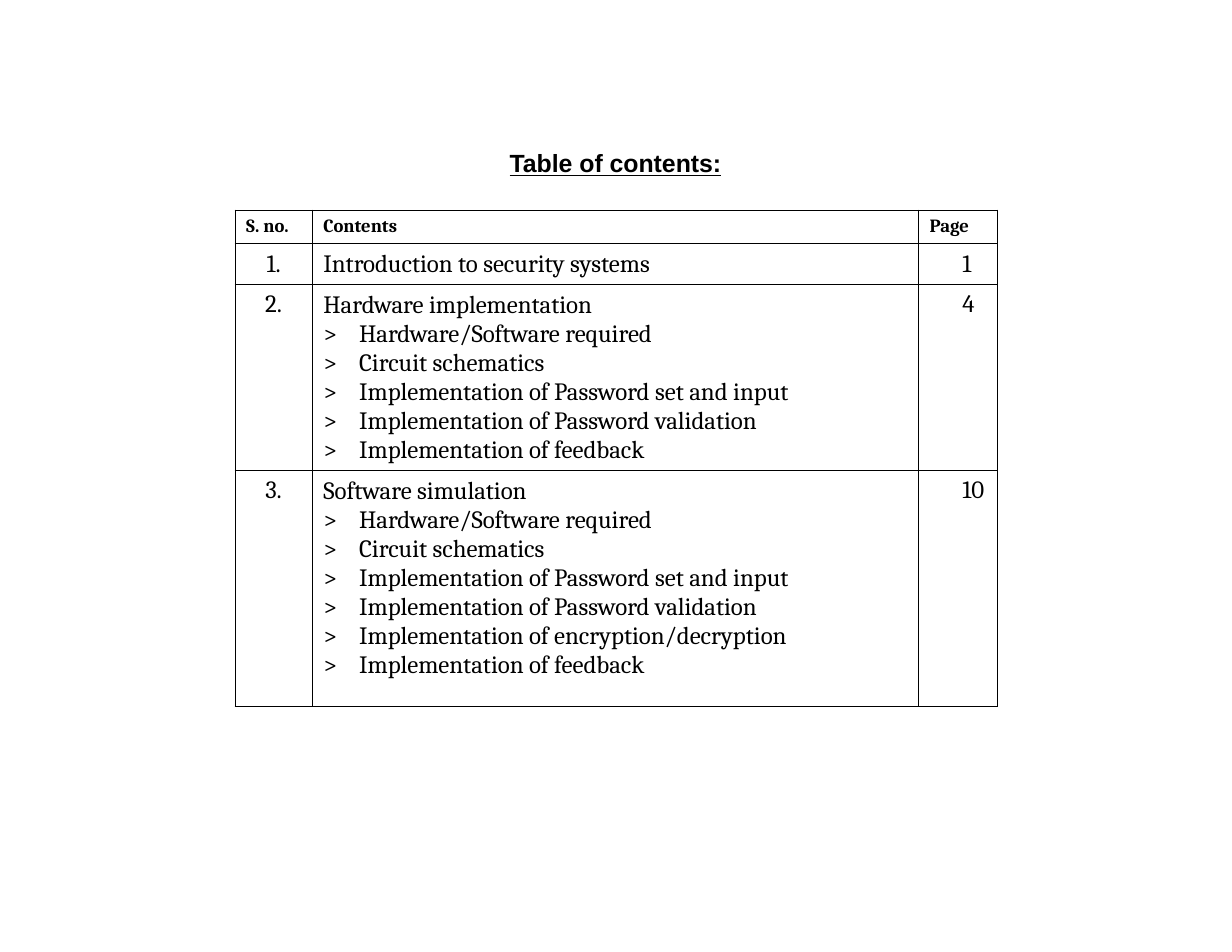
"""Build a slide with a ruled table of contents."""
from lxml.etree import SubElement as Sub
from pptx import Presentation as Deck
from pptx.dml.color import RGBColor
from pptx.enum.text import MSO_ANCHOR as Anchor, PP_ALIGN as Align
from pptx.oxml import parse_xml
from pptx.oxml.ns import nsdecls, qn
from pptx.util import Cm, Pt

BLACK = RGBColor(0, 0, 0)
HEAD = {"name": "Cambria", "size": Pt(12), "bold": True}
BODY = {"name": "Cambria", "size": Pt(16), "bold": False}
TITLE = {"name": "Arial", "size": Pt(16), "bold": True, "underline": True}


def write(para, text, style):
    run = para.add_run()
    run.text = text
    for key, val in style.items():
        setattr(run.font, key, val)
    run.font.color.rgb = BLACK


def rule(cell):
    props = cell._tc.get_or_add_tcPr()
    for side in "LRTB":
        props.append(parse_xml(
            f'<a:ln{side} {nsdecls("a")} w="{Pt(0.45)}"><a:solidFill>'
            f'<a:srgbClr val="{BLACK}"/></a:solidFill></a:ln{side}>'))
    cell.fill.background()


deck = Deck()
deck.slide_width, deck.slide_height = Cm(27.94), Cm(21.59)
slide = deck.slides.add_slide(deck.slide_layouts[6])

frame = slide.shapes.add_textbox(Cm(11.51), Cm(3.35), Cm(4.9), Cm(0.53)).text_frame
for key in ("left", "right", "top", "bottom"):
    setattr(frame, f"margin_{key}", 0)
frame.word_wrap = False
frame.paragraphs[0].alignment = Align.CENTER
write(frame.paragraphs[0], "Table of contents:", TITLE)

parts = ["Hardware/Software required", "Circuit schematics",
         "Implementation of Password set and input",
         "Implementation of Password validation"]
crypt, back = "Implementation of encryption/decryption", "Implementation of feedback"
rows = [
    ("S. no.", ["Contents"], "Page"),
    ("1.", ["Introduction to security systems"], "1"),
    ("2.", ["Hardware implementation", *parts, back], "4"),
    ("3.", ["Software simulation", *parts, crypt, back], "10"),
]
wide = [1.75, 13.75, 1.78]
high = [0.75, 0.9, 4.22, 5.35]
low, mid, top = Anchor.BOTTOM, Anchor.MIDDLE, Anchor.TOP
holds = [(top, top, top), (low, mid, low), (top, low, top), (top, top, top)]

table = slide.shapes.add_table(4, 3, Cm(5.33), Cm(4.76), Cm(sum(wide)), Cm(sum(high))).table
table.first_row = table.horz_banding = False
for col, size in zip(table.columns, wide):
    col.width = Cm(size)
for row, size in zip(table.rows, high):
    row.height = Cm(size)

for r, (num, lines, page) in enumerate(rows):
    style = BODY if r else HEAD
    for c, texts in enumerate(([num], lines, [page])):
        cell = table.cell(r, c)
        rule(cell)
        cell.vertical_anchor = holds[r][c]
        for i, text in enumerate(texts):
            para = cell.text_frame.paragraphs[0] if i == 0 else cell.text_frame.add_paragraph()
            props = para._p.get_or_add_pPr()
            if len(texts) > 1:
                para.line_spacing = Pt(18.7)
            if i:
                para.alignment = Align.JUSTIFY
                props.set("marL", str(Cm(0.81)))
                props.set("indent", str(-Cm(0.81)))
                Sub(props, qn("a:buFont"), typeface="Cambria")
                Sub(props, qn("a:buChar"), char=">")
            elif r and c == 0:
                para.alignment = Align.CENTER
            elif r and c == 2:
                props.set("marL", str(Cm(0.74)))
            write(para, text, style)

deck.save("out.pptx")
